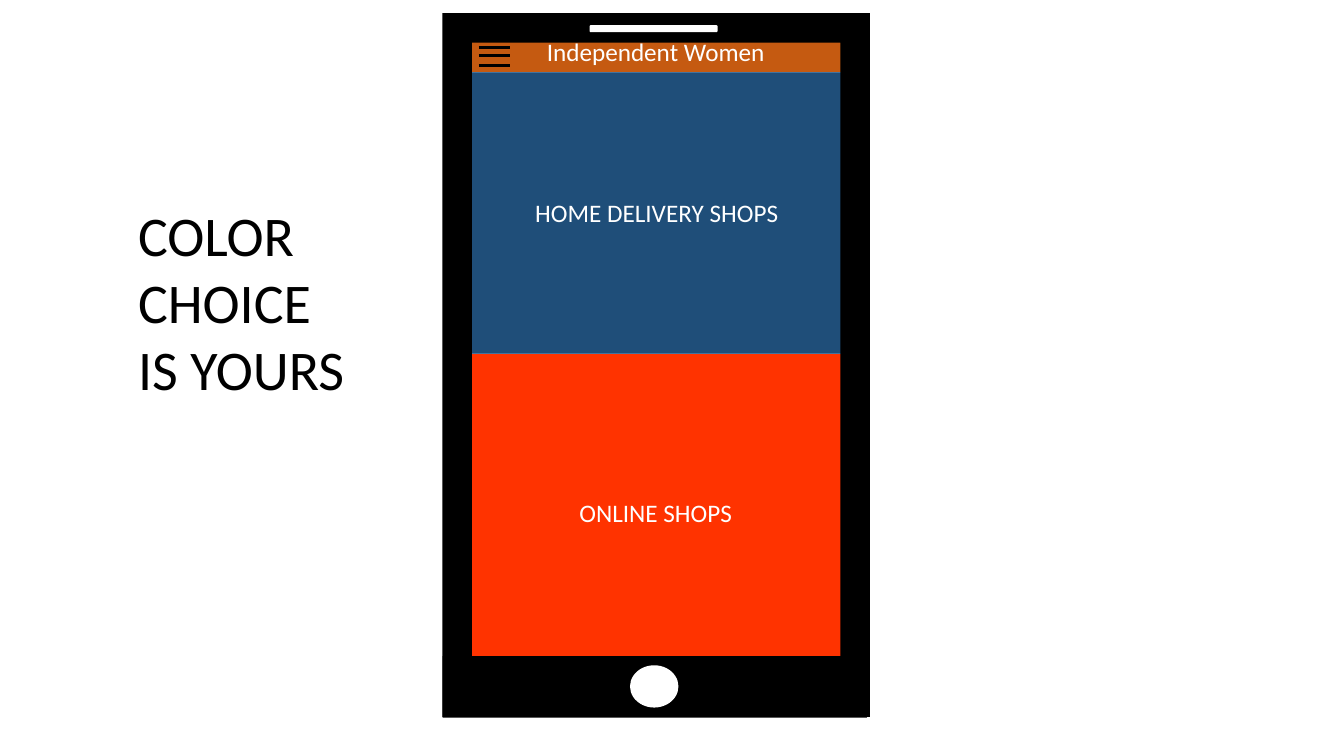
from pptx import Presentation
from pptx.dml.color import RGBColor
from pptx.enum.shapes import MSO_SHAPE as Kind, MSO_CONNECTOR as Link
from pptx.enum.text import MSO_ANCHOR as Anchor, MSO_AUTO_SIZE as Fit, PP_ALIGN as Align
from pptx.oxml.ns import qn
from pptx.util import Pt
from lxml import etree

# Content
TITLE = "COLOR CHOICE IS YOURS"
FONT = "Calibri"
HUES = {"screen": "50CECE", "home": "1F4E79", "bar": "C55A11", "online": "FF3300",
        "edge": "43739E", "black": "000000", "white": "FFFFFF"}

# Screen panels: text, fill, top, width, height, outlined
LEFT = 330.5
PANELS = [
    ("", "screen", 22.3, 277.2, 472.3, False),
    ("HOME DELIVERY SHOPS", "home", 51.8, 277.2, 200.2, False),
    ("Independent Women", "bar", 22.3, 275.8, 29.5, True),
    ("ONLINE SHOPS", "online", 252.7, 275.8, 226.1, True),
]
# Phone body: kind, fill, left, top, width, height
BODY = [
    (Kind.RECTANGLE, "black", 316.1, 468.7, 303.1, 43.9),
    (Kind.FRAME, "black", 316.1, 9.4, 305.3, 502.6),
    (Kind.OVAL, "white", 450, 475.2, 34.6, 30.2),
    (Kind.ROUNDED_RECTANGLE, "white", 421.2, 18, 91.4, 5),
]
MENU = (33.8, 39.9, 46.8)


def hue(name):
    return RGBColor.from_string(HUES[name])


def write(frame, text, size, tint, align):
    frame.word_wrap = True
    para = frame.paragraphs[0]
    para.alignment = align
    run = para.add_run()
    run.text = text
    run.font.name = FONT
    run.font.size = Pt(size)
    run.font.color.rgb = hue(tint)


def draw(kind, fill, *box):
    shape = phone.add_shape(kind, *map(Pt, box))
    shape.shadow.inherit = False
    shape.fill.solid()
    shape.fill.fore_color.rgb = hue(fill)
    shape.line.fill.background()
    return shape


deck = Presentation()
deck.slide_width, deck.slide_height = Pt(960), Pt(540)
slide = deck.slides.add_slide(deck.slide_layouts[5])

# Title beside the phone
title = slide.shapes.title
title.left, title.top, title.width, title.height = map(Pt, (91.4, 139.7, 172.8, 152.6))
title.text_frame.vertical_anchor = Anchor.TOP
title.text_frame.auto_size = Fit.NONE
write(title.text_frame, TITLE, 40, "black", Align.LEFT)

# Screen panels
phone = slide.shapes.add_group_shape().shapes
for text, fill, top, wide, high, lined in PANELS:
    panel = draw(Kind.RECTANGLE, fill, LEFT, top, wide, high)
    if lined:
        panel.line.color.rgb = hue("edge")
        panel.line.width = Pt(1)
    if text:
        panel.text_frame.vertical_anchor = Anchor.MIDDLE
        write(panel.text_frame, text, 18, "white", Align.CENTER)
    else:
        # Slightly see-through backdrop
        tint = panel.fill._xPr.find(qn("a:solidFill"))[0]
        etree.SubElement(tint, qn("a:alpha")).set("val", "90000")

# Menu icon
for y in MENU:
    bar = phone.add_connector(Link.STRAIGHT, Pt(342), Pt(y), Pt(364.3), Pt(y))
    bar.line.color.rgb = hue("black")
    bar.line.width = Pt(2.25)
    etree.SubElement(bar._element.spPr, qn("a:effectLst"))

# Phone body, home button and speaker
for kind, fill, *box in BODY:
    part = draw(kind, fill, *box)
    if kind == Kind.FRAME:
        part.adjustments[0] = 0.069

deck.save("out.pptx")
